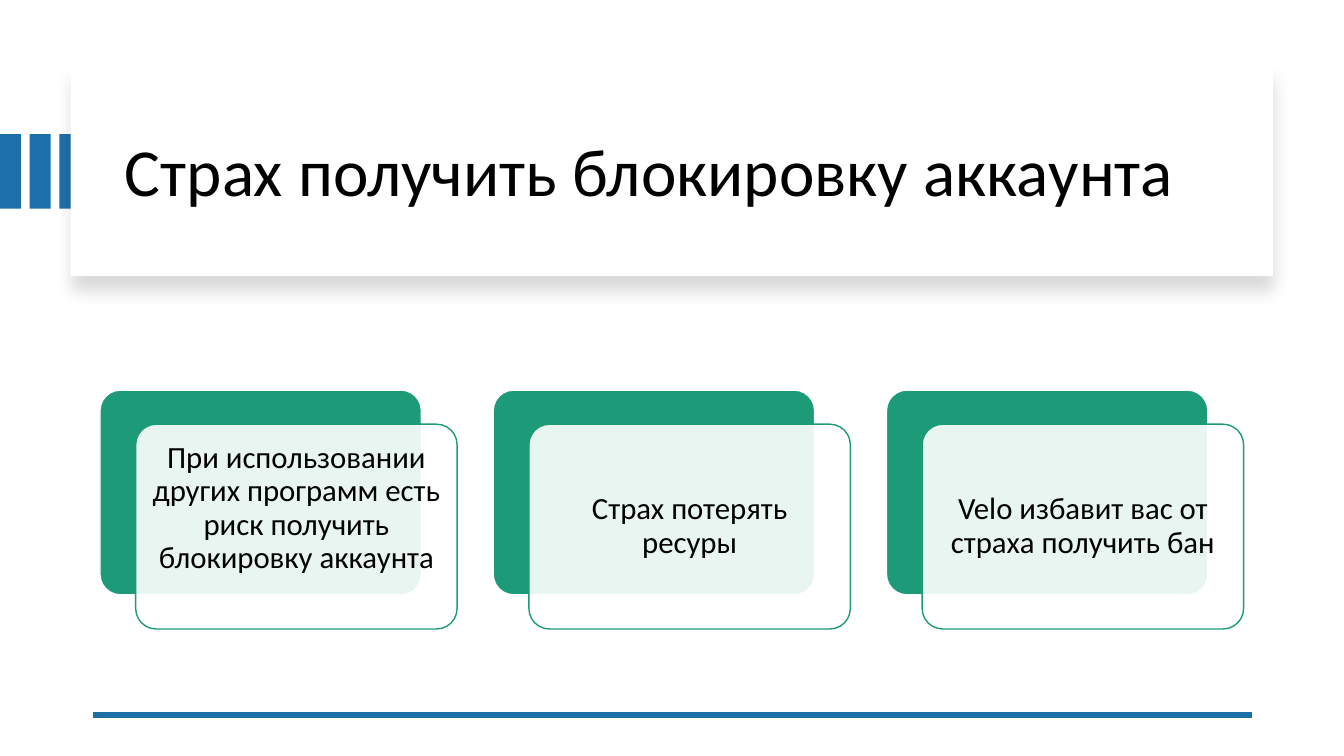
import dataclasses

import pptx
import pptx.dml.color
import pptx.enum.dml
import pptx.enum.shapes
import pptx.enum.text
import pptx.oxml
import pptx.oxml.ns
import pptx.util

Cm = pptx.util.Cm
Pt = pptx.util.Pt
SHAPE = pptx.enum.shapes.MSO_SHAPE
ALIGN = pptx.enum.text.PP_ALIGN
NS = pptx.oxml.ns.nsdecls("a")


@dataclasses.dataclass(frozen=True)
class Theme:
    accent: str = "1D6FA9"
    card: str = "1D9A78"
    paper: str = "FFFFFF"
    ink: str = "000000"
    font: str = "Calibri"
    title_size: int = 48
    card_size: int = 22


def rgb(value):
    return pptx.dml.color.RGBColor.from_string(value)


def write_text(shape, text, *, size, color, font, align, inset, bottom_inset=None):
    """Fill a shape with one vertically centred paragraph; insets are in cm."""
    frame = shape.text_frame
    frame.word_wrap = True
    frame.auto_size = pptx.enum.text.MSO_AUTO_SIZE.NONE
    frame.vertical_anchor = pptx.enum.text.MSO_ANCHOR.MIDDLE
    frame.margin_left = frame.margin_right = frame.margin_top = Cm(inset)
    frame.margin_bottom = Cm(inset if bottom_inset is None else bottom_inset)
    paragraph = frame.paragraphs[0]
    paragraph.alignment = align
    paragraph.line_spacing = 0.9
    run = paragraph.add_run()
    run.text = text
    run.font.size = Pt(size)
    run.font.name = font
    run.font.color.rgb = rgb(color)


class SlideBuilder:
    def __init__(self, slide, theme):
        self.slide = slide
        self.theme = theme

    def block(self, left, top, width, height, fill, kind=SHAPE.RECTANGLE, outline=None):
        shape = self.slide.shapes.add_shape(kind, Cm(left), Cm(top), Cm(width), Cm(height))
        shape.shadow.inherit = False
        shape.fill.solid()
        shape.fill.fore_color.rgb = rgb(fill)
        if outline:
            shape.line.color.rgb = rgb(outline)
            shape.line.width = Pt(1)
        else:
            shape.line.fill.background()
        return shape

    def rounded(self, left, top, width, height, fill, outline):
        shape = self.block(left, top, width, height, fill, SHAPE.ROUNDED_RECTANGLE, outline)
        shape.adjustments[0] = 0.1
        return shape

    def panel(self, left, top, width, height):
        """Add a paper-coloured block with a soft shadow below it."""
        panel = self.block(left, top, width, height, self.theme.paper)
        effects = panel.element.spPr.find(pptx.oxml.ns.qn("a:effectLst"))
        effects.append(pptx.oxml.parse_xml(
            f'<a:outerShdw {NS} blurRad="{Pt(11)}" dist="{Pt(10)}" dir="5400000" '
            f'algn="t" rotWithShape="0"><a:srgbClr val="{self.theme.ink}">'
            '<a:alpha val="15000"/></a:srgbClr></a:outerShdw>'))

    def title(self, text, left, top, width, height):
        title = self.slide.shapes.title
        title.left, title.top = Cm(left), Cm(top)
        title.width, title.height = Cm(width), Cm(height)
        write_text(title, text, size=self.theme.title_size, color=self.theme.ink,
                   font=self.theme.font, align=ALIGN.LEFT, inset=0.25)
        # Bring the title in front of the panel.
        title.element.getparent().append(title.element)

    def rule(self, start_x, end_x, y):
        rule = self.slide.shapes.add_connector(
            pptx.enum.shapes.MSO_CONNECTOR.STRAIGHT, Cm(start_x), Cm(y), Cm(end_x), Cm(y))
        rule.line.color.rgb = rgb(self.theme.accent)
        rule.line.width = Pt(4.5)
        rule.element.spPr.append(pptx.oxml.parse_xml(f"<a:effectLst {NS}/>"))

    def card(self, text, left, top, bottom_inset):
        """Add a solid back plate and a translucent text plate shifted over it."""
        theme, width, height = self.theme, 8.1, 5.16
        self.rounded(left, top, width, height, theme.card, theme.paper)
        plate = self.rounded(left + 0.9, top + 0.86, width, height, theme.paper, theme.card)
        color = plate.element.spPr.find(pptx.oxml.ns.qn("a:solidFill"))[0]
        color.append(pptx.oxml.parse_xml(f'<a:alpha {NS} val="90000"/>'))
        write_text(plate, text, size=theme.card_size, color=theme.ink, font=theme.font,
                   align=ALIGN.CENTER, inset=0.23, bottom_inset=bottom_inset)


def main():
    presentation = pptx.Presentation()
    presentation.slide_width, presentation.slide_height = Cm(33.87), Cm(19.05)
    title_only = presentation.slide_layouts[5]
    theme = Theme()
    builder = SlideBuilder(presentation.slides.add_slide(title_only), theme)

    for index in range(3):
        builder.block(0.75 * index, 3.38, 0.53, 1.88, theme.accent)
    builder.panel(1.78, 1.7, 30.3, 5.26)
    builder.title("Страх получить блокировку аккаунта", 2.9, 2.24, 28.27, 4.32)
    builder.rule(31.55, 2.34, 18.01)

    fears = [
        # The longest text sits higher in its card.
        ("При использовании других программ есть риск получить блокировку аккаунта", 1.14),
        ("Страх потерять ресуры", 0.23),
        ("Velo избавит вас от страха получить бан", 0.23),
    ]
    for index, (fear, bottom_inset) in enumerate(fears):
        builder.card(fear, 2.52 + 9.91 * index, 9.83, bottom_inset)

    presentation.save("out.pptx")


if __name__ == "__main__":
    main()
